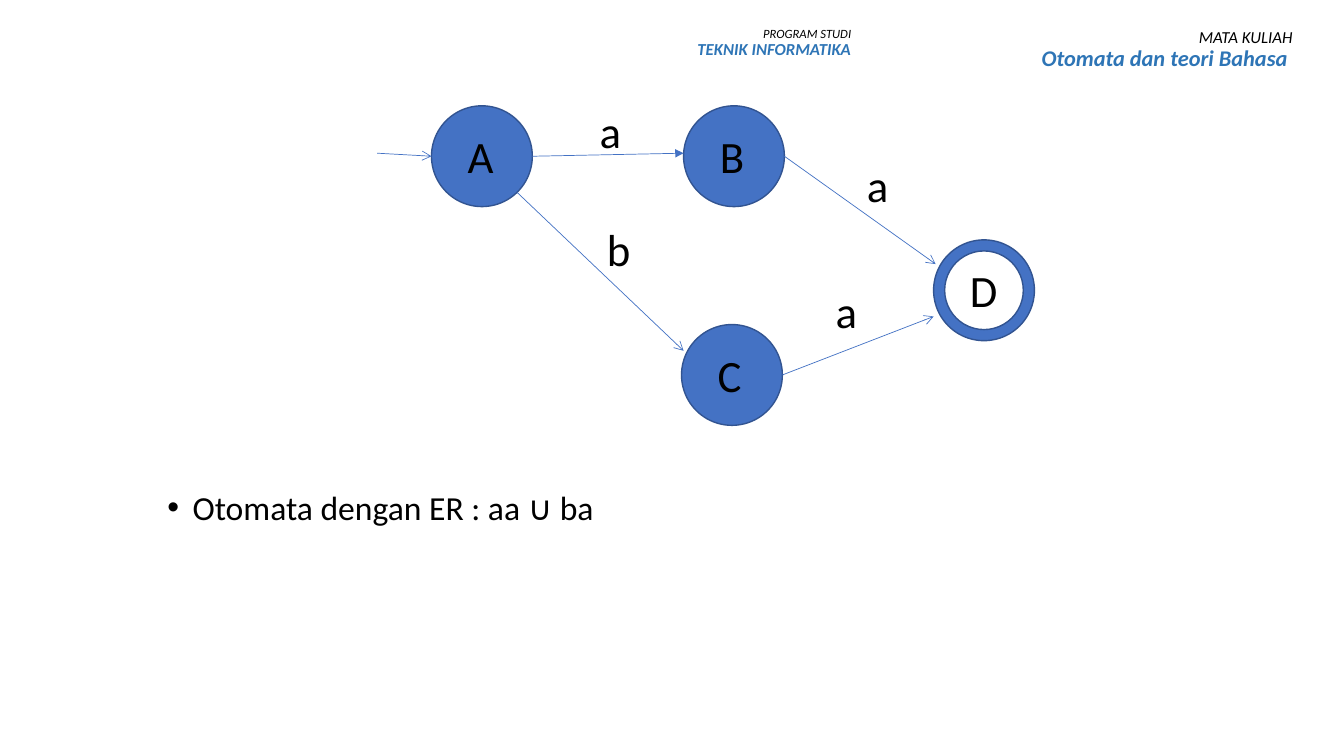
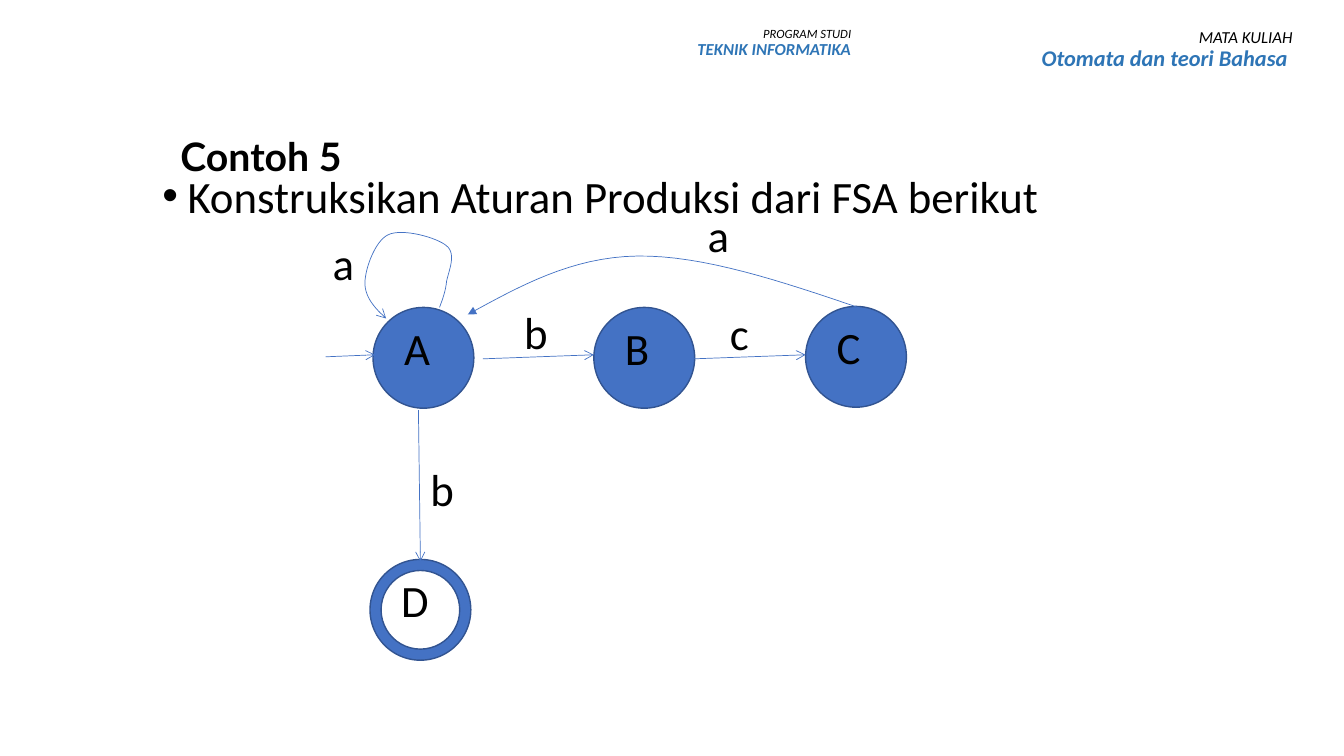
from pptx import Presentation
from pptx.dml.color import RGBColor
from pptx.enum.shapes import MSO_CONNECTOR, MSO_SHAPE
from pptx.enum.text import MSO_ANCHOR, MSO_AUTO_SIZE, PP_ALIGN
from pptx.oxml.ns import qn
from pptx.util import Inches, Pt
from lxml.etree import SubElement

BLACK = RGBColor(0x00, 0x00, 0x00)
BLUE = RGBColor(0x44, 0x72, 0xC4)
EDGE = RGBColor(0x32, 0x54, 0x91)
ACCENT = RGBColor(0x2E, 0x75, 0xB6)
FONT = "Calibri"
HEAD_FONT = "Lato"
WIDTHS = {"A": 0.5, "B": 0.45, "C": 0.53, "D": 0.54, "a": 0.4, "b": 0.43, "c": 0.4}


def bezier(start, curves, steps=16):
    points = [start]
    for one, two, end in curves:
        first = points[-1]
        for i in range(1, steps + 1):
            t = i / steps
            u = 1 - t
            points.append(tuple(
                u**3 * a + 3 * u * u * t * b + 3 * u * t * t * c + t**3 * d
                for a, b, c, d in zip(first, one, two, end)))
    return points


class Deck:
    def __init__(self):
        self.file = Presentation()
        self.file.slide_width = Inches(13.33)
        self.file.slide_height = Inches(7.5)
        self.slide = None

    def start(self, body, place, size, title=None):
        self.slide = self.file.slides.add_slide(self.file.slide_layouts[1])
        head = self.slide.shapes.title
        if title:
            self.title(head, title)
        else:
            head.element.getparent().remove(head.element)
        self.bullet(body, place, size)
        self.header((9.16, 0.24, 3.76, 0.74), "MATA KULIAH", 12,
                    "Otomata dan teori Bahasa ", 16)
        self.header((6.03, 0.22, 2.51, 0.56), "PROGRAM STUDI", 9,
                    "TEKNIK INFORMATIKA", 12)

    def style(self, para, size, color=BLACK, bold=False, italic=False, name=FONT):
        font = para.font
        font.name, font.size = name, Pt(size)
        font.bold, font.italic = bold, italic
        font.color.rgb = color

    def move(self, shape, place):
        shape.left, shape.top, shape.width, shape.height = map(Inches, place)

    def title(self, shape, text):
        self.move(shape, (1.69, 1.13, 10.66, 0.89))
        frame = shape.text_frame
        frame.text = text
        frame.auto_size = MSO_AUTO_SIZE.NONE
        frame.vertical_anchor = MSO_ANCHOR.MIDDLE
        para = frame.paragraphs[0]
        para.alignment = PP_ALIGN.LEFT
        para.line_spacing = 0.9
        self.style(para, 28, bold=True, name=HEAD_FONT)

    def bullet(self, text, place, size):
        shape = self.slide.placeholders[1]
        self.move(shape, place)
        frame = shape.text_frame
        frame.text = text
        frame.auto_size = MSO_AUTO_SIZE.NONE
        para = frame.paragraphs[0]
        para.space_before = Pt(0)
        props = para._p.get_or_add_pPr()
        props.set("marL", str(Inches(0.25)))
        props.set("indent", str(Inches(-0.25)))
        SubElement(props, qn("a:buFont")).set("typeface", "Arial")
        SubElement(props, qn("a:buChar")).set("char", "•")
        self.style(para, size)

    def header(self, place, top, small, name, large):
        frame = self.slide.shapes.add_textbox(*map(Inches, place)).text_frame
        frame.word_wrap = True
        frame.text = f"{top}\n{name}"
        for para in frame.paragraphs:
            para.alignment = PP_ALIGN.RIGHT
            para.line_spacing = 0.9
        self.style(frame.paragraphs[0], small, italic=True)
        self.style(frame.paragraphs[1], large, ACCENT, True, True)

    def label(self, text, x, y):
        place = (x, y, WIDTHS[text], 0.64)
        frame = self.slide.shapes.add_textbox(*map(Inches, place)).text_frame
        frame.word_wrap = False
        frame.auto_size = MSO_AUTO_SIZE.SHAPE_TO_FIT_TEXT
        frame.text = text
        self.style(frame.paragraphs[0], 32)

    def state(self, text, x, y, shift, final=False):
        kind = MSO_SHAPE.DONUT if final else MSO_SHAPE.OVAL
        shape = self.slide.shapes.add_shape(kind, *map(Inches, (x, y, 1, 1)))
        if final:
            shape.adjustments[0] = 0.11
        shape.shadow.inherit = False
        shape.fill.solid()
        shape.fill.fore_color.rgb = BLUE
        shape.line.color.rgb = EDGE
        shape.line.width = Pt(1)
        self.label(text, x + shift[0], y + shift[1])

    def stroke(self, shape, tip):
        shape.line.color.rgb = BLUE
        shape.line.width = Pt(0.5)
        line = shape.element.spPr.find(qn("a:ln"))
        SubElement(line, qn("a:tailEnd")).set("type", tip)

    def arrow(self, x1, y1, x2, y2, tip="arrow"):
        line = self.slide.shapes.add_connector(
            MSO_CONNECTOR.STRAIGHT, *map(Inches, (x1, y1, x2, y2)))
        self.stroke(line, tip)
        SubElement(line.element.spPr, qn("a:effectLst"))

    def curve(self, start, curves, tip="arrow"):
        points = [tuple(map(Inches, spot)) for spot in bezier(start, curves)]
        path = self.slide.shapes.build_freeform(*points[0])
        path.add_line_segments(points[1:], close=False)
        shape = path.convert_to_shape()
        shape.shadow.inherit = False
        shape.fill.background()
        self.stroke(shape, tip)


def union(deck):
    deck.start("Otomata dengan ER : aa ∪ ba", (1.56, 4.78, 10.78, 0.7), 24)
    for text, x, y in (("A", 4.28, 1.05), ("B", 6.78, 1.05),
                       ("C", 6.76, 3.22), ("D", 9.26, 2.38)):
        deck.state(text, x, y, (0.26, 0.18), text == "D")
    deck.arrow(5.28, 1.55, 6.78, 1.52, "triangle")
    for ends in ((3.74, 1.52, 4.28, 1.55), (7.78, 1.55, 9.28, 2.62),
                 (5.13, 1.91, 6.78, 3.48), (7.76, 3.72, 9.26, 3.14)):
        deck.arrow(*ends)
    for text, x, y in (("b", 5.92, 2.15), ("a", 5.85, 0.98),
                       ("a", 8.5, 1.52), ("a", 8.19, 2.77)):
        deck.label(text, x, y)


def rules(deck):
    deck.start("Konstruksikan Aturan Produksi dari FSA berikut",
               (1.51, 1.62, 10.84, 0.64), 32, "Contoh 5")
    for text, x, y in (("A", 3.7, 3.05), ("B", 5.89, 3.05),
                       ("C", 7.99, 3.04), ("D", 3.67, 5.55)):
        deck.state(text, x, y, (0.21, 0.08), text == "D")
    for ends in ((3.23, 3.54, 3.72, 3.52), (4.79, 3.56, 5.89, 3.52),
                 (6.88, 3.56, 7.99, 3.52), (4.15, 4.07, 4.17, 5.57)):
        deck.arrow(*ends)
    deck.curve((8.54, 3.06), [
        ((7.75, 2.79), (6.97, 2.53), (6.32, 2.54)),
        ((5.67, 2.55), (5.15, 2.84), (4.64, 3.12))], "triangle")
    deck.curve((4.36, 3.05), [
        ((4.39, 2.97), (4.42, 2.89), (4.43, 2.79)),
        ((4.45, 2.69), (4.53, 2.52), (4.43, 2.44)),
        ((4.34, 2.36), (3.99, 2.26), (3.85, 2.33)),
        ((3.72, 2.39), (3.62, 2.67), (3.62, 2.81)),
        ((3.62, 2.95), (3.72, 3.06), (3.83, 3.16))])
    for text, x, y in (("b", 5.1, 2.97), ("c", 7.14, 2.98), ("b", 4.17, 4.53),
                       ("a", 3.2, 2.29), ("a", 6.92, 2.01)):
        deck.label(text, x, y)


def main():
    deck = Deck()
    union(deck)
    rules(deck)
    deck.file.save("out.pptx")


if __name__ == "__main__":
    main()
